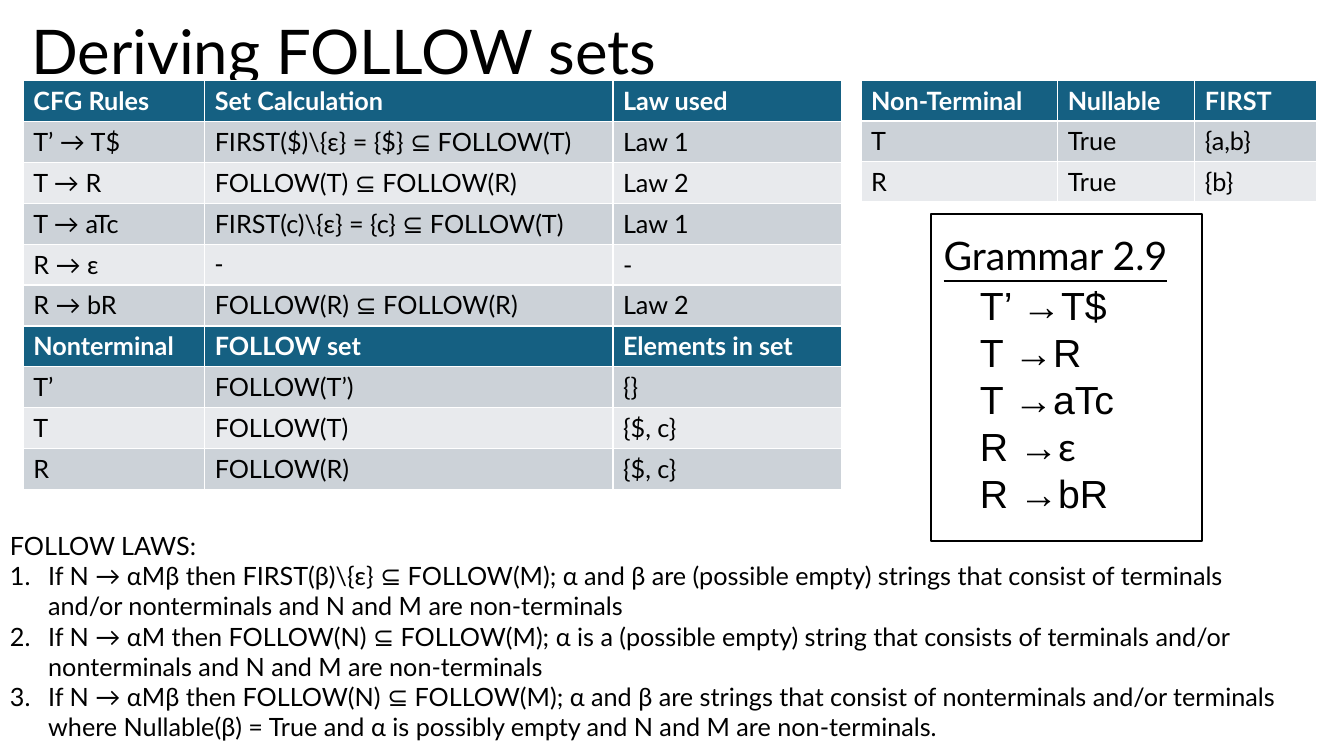
from pptx import Presentation, util as u
from pptx.dml.color import RGBColor
from pptx.enum import shapes, text
from pptx.oxml import parse_xml
from pptx.oxml.ns import nsdecls

WIDTH, HEIGHT = u.Inches(13.33), u.Inches(7.5)
BLACK = RGBColor(0, 0, 0)
WHITE = RGBColor(0xFF, 0xFF, 0xFF)
HEADER = RGBColor(0x15, 0x60, 0x82)
BANDS = [RGBColor(0xE8, 0xEA, 0xED), RGBColor(0xCC, 0xD2, 0xD8)]
TABLE_TOP = 10.67

FOLLOW_ROWS = [
    ["CFG Rules", "Set Calculation", "Law used"],
    ["T’ → T$", "FIRST($)\\{ε} = {$} ⊆ FOLLOW(T)", "Law 1"],
    ["T → R", "FOLLOW(T) ⊆ FOLLOW(R)", "Law 2"],
    ["T → aTc", "FIRST(c)\\{ε} = {c} ⊆ FOLLOW(T)", "Law 1"],
    ["R → ε", "-", "-"],
    ["R → bR", "FOLLOW(R) ⊆ FOLLOW(R)", "Law 2"],
    ["Nonterminal", "FOLLOW set", "Elements in set"],
    ["T’", "FOLLOW(T’)", "{}"],
    ["T", "FOLLOW(T)", "{$, c}"],
    ["R", "FOLLOW(R)", "{$, c}"],
]
FIRST_ROWS = [
    ["Non-Terminal", "Nullable", "FIRST"],
    ["T", "True", "{a,b}"],
    ["R", "True", "{b}"],
]
LAWS = [
    "FOLLOW LAWS:",
    "If N → αMβ then FIRST(β)\\{ε} ⊆ FOLLOW(M); α and β are (possible empty) strings "
    "that consist of terminals and/or nonterminals and N and M are non-terminals",
    "If N → αM then FOLLOW(N) ⊆ FOLLOW(M); α is a (possible empty) string "
    "that consists of terminals and/or nonterminals and N and M are non-terminals",
    "If N → αMβ then FOLLOW(N) ⊆ FOLLOW(M); α and β are strings that consist of "
    "nonterminals and/or terminals where Nullable(β) = True and α is possibly empty "
    "and N and M are non-terminals.",
]
GRAMMAR = ["T’ →T$", "T →R", "T →aTc", "R →ε", "R →bR"]


def across(percent):
    """Return a share of the slide's width."""
    return round(WIDTH * percent / 100)


def down(percent):
    """Return a share of the slide's height."""
    return round(HEIGHT * percent / 100)


def frame(left, top, width, height):
    """Turn four percentages into a position and a size."""
    return across(left), down(top), across(width), down(height)


def style(font, size, color=BLACK, face="Lato", bold=False):
    """Set the look of a font."""
    font.name, font.size, font.bold = face, u.Pt(size), bold
    font.color.rgb = color


def add_text(slide, place, lines, size, face="Lato"):
    """Add a wrapped text box and return its text frame."""
    body = slide.shapes.add_textbox(*frame(*place)).text_frame
    body.word_wrap = True
    body.text = "\n".join(lines)
    for paragraph in body.paragraphs:
        for run in paragraph.runs:
            style(run.font, size, face=face)
    return body


def number(paragraph):
    """Give a paragraph a hanging number."""
    properties = paragraph._p.get_or_add_pPr()
    properties.set("marL", str(u.Inches(0.38)))
    properties.set("indent", str(-u.Inches(0.38)))
    properties.append(parse_xml(f'<a:buFont {nsdecls("a")} typeface="+mj-lt"/>'))
    properties.append(parse_xml(f'<a:buAutoNum {nsdecls("a")} type="arabicPeriod"/>'))


def add_table(slide, left, columns, row_height, rows, header_rows):
    """Add a banded table whose header rows are dark."""
    place = frame(left, TABLE_TOP, sum(columns), row_height * len(rows))
    table = slide.shapes.add_table(len(rows), len(columns), *place).table
    for column, share in zip(table.columns, columns):
        column.width = across(share)
    for r, values in enumerate(rows):
        is_header = r in header_rows
        for c, value in enumerate(values):
            cell = table.cell(r, c)
            cell.text_frame.text = value
            cell.fill.solid()
            cell.fill.fore_color.rgb = HEADER if is_header else BANDS[r % 2]
            font = cell.text_frame.paragraphs[0].runs[0].font
            style(font, 18, WHITE if is_header else BLACK, bold=is_header)
    return table


def add_laws(slide):
    """Add the heading and the numbered laws."""
    laws = add_text(slide, (0, 69.47, 97.3, 29.6), LAWS, 18)
    for law in laws.paragraphs[1:]:
        number(law)


def add_grammar(slide):
    """Add the framed grammar with its underlined heading."""
    border = slide.shapes.add_shape(
        shapes.MSO_SHAPE.RECTANGLE, *frame(69.24, 28.27, 20.18, 43.33))
    border.shadow.inherit = False
    border.fill.solid()
    border.fill.fore_color.rgb = WHITE
    border.line.color.rgb = BLACK
    border.line.width = u.Pt(1.5)
    rules = add_text(slide, (72.17, 36.53, 15.45, 32.8), GRAMMAR, 28, "Arial")
    epsilon_rule = rules.paragraphs[3]
    epsilon_rule.runs[0].text = "R →"
    epsilon = epsilon_rule.add_run()
    epsilon.text = "ε"
    style(epsilon.font, 28)
    heading = add_text(slide, (69.47, 30, 19.95, 7.6), ["Grammar 2.9"], 28)
    heading.paragraphs[0].runs[0].font.underline = True


def main():
    """Build the slide and save it."""
    deck = Presentation()
    deck.slide_width, deck.slide_height = WIDTH, HEIGHT
    slide = deck.slides.add_slide(deck.slide_layouts[6])
    title = add_text(slide, (1.58, -2.4, 86.27, 19.33), ["Deriving FOLLOW sets"], 44)
    title.vertical_anchor = text.MSO_ANCHOR.MIDDLE
    title.paragraphs[0].line_spacing = 0.9
    follow = add_table(slide, 1.73, [13.5, 30.38, 17.03], 5.41, FOLLOW_ROWS, {0, 6})
    follow.cell(4, 1).text_frame.paragraphs[0].runs[0].font.name = "Arial"
    add_table(slide, 64.07, [14.63, 10.2, 9.08], 5.33, FIRST_ROWS, {0})
    add_laws(slide)
    add_grammar(slide)
    deck.save("out.pptx")


if __name__ == "__main__":
    main()
